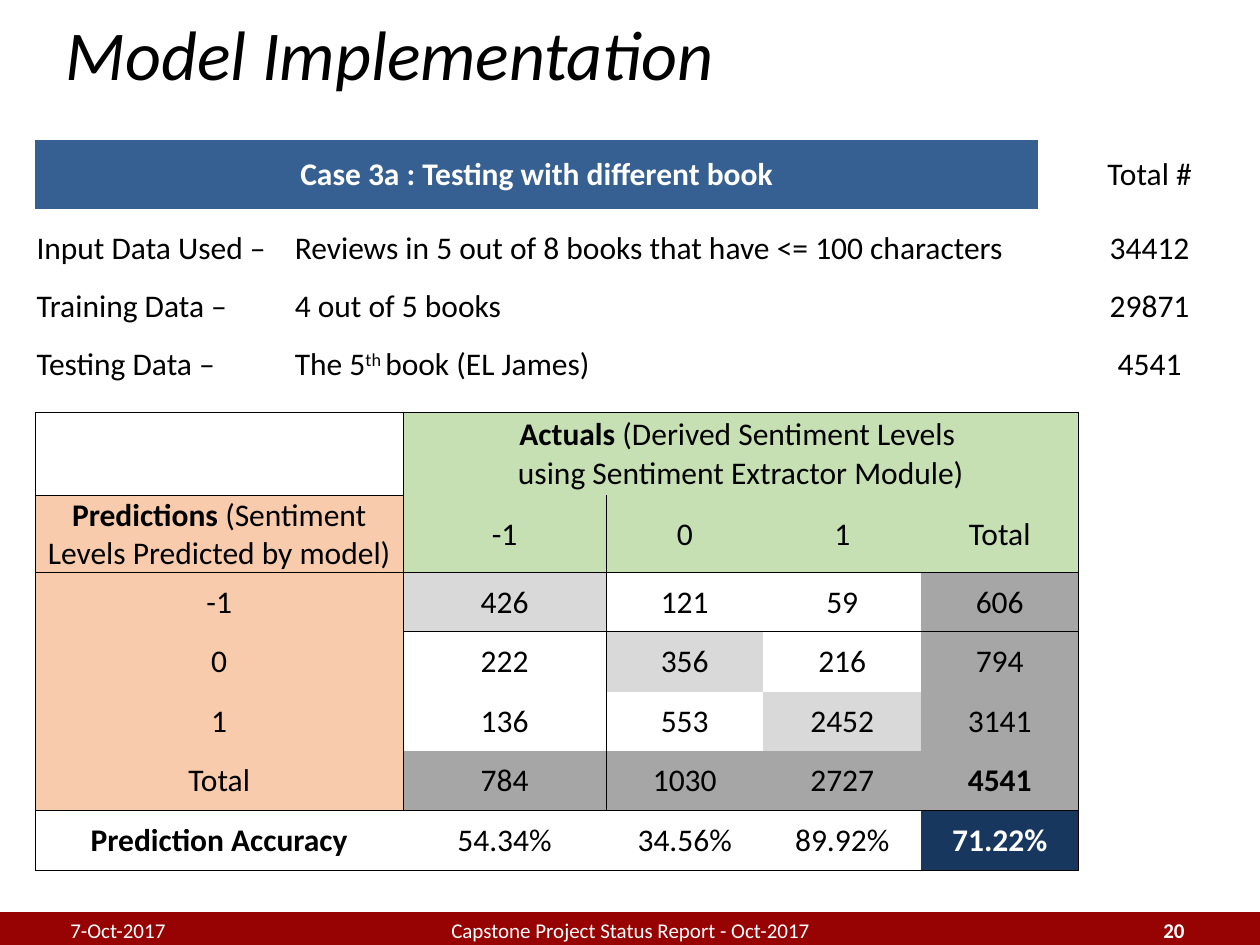
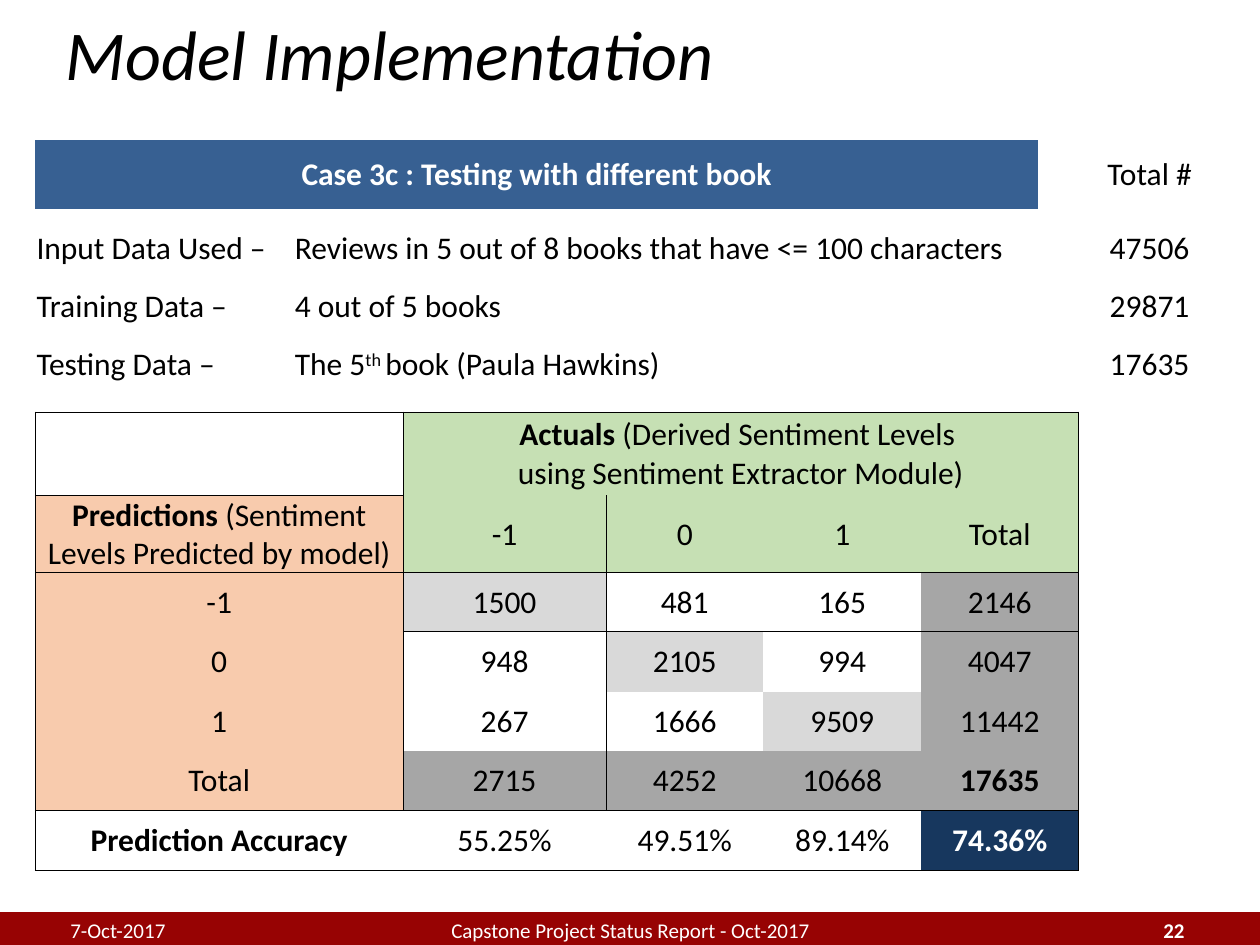
"""Build two model implementation slides with confusion matrices."""
from lxml.etree import SubElement
from pptx import Presentation
from pptx.dml.color import RGBColor
from pptx.enum.shapes import MSO_SHAPE
from pptx.enum.text import MSO_ANCHOR, MSO_AUTO_SIZE, PP_ALIGN
from pptx.oxml import parse_xml
from pptx.oxml.ns import nsdecls, qn
from pptx.util import Inches, Pt

BLACK = RGBColor(0x00, 0x00, 0x00)
WHITE = RGBColor(0xFF, 0xFF, 0xFF)
RED = RGBColor(0x97, 0x03, 0x03)
BLUE = RGBColor(0x37, 0x60, 0x92)
NAVY = RGBColor(0x17, 0x37, 0x5E)
GREEN = RGBColor(0xC6, 0xE0, 0xB4)
PEACH = RGBColor(0xF8, 0xCB, 0xAD)
PALE = RGBColor(0xD9, 0xD9, 0xD9)
GRAY = RGBColor(0xA6, 0xA6, 0xA6)

FONT = "Calibri"
UNIT = Inches(0.1)
COLS, ROWS = 100, 75
LEFT = 2.8
PLAIN_STYLE = "{2D5ABB26-0587-4C30-8999-92F81FD0307C}"
LEVELS = ["-1", "0", "1"]

CASES = [
    {
        "page": "20", "name": "3a", "author": "EL James",
        "totals": ["34412", "29871", "4541"],
        "counts": [
            ["426", "121", "59", "606"],
            ["222", "356", "216", "794"],
            ["136", "553", "2452", "3141"],
            ["784", "1030", "2727", "4541"],
        ],
        "rates": ["54.34%", "34.56%", "89.92%", "71.22%"],
    },
    {
        "page": "22", "name": "3c", "author": "Paula Hawkins",
        "totals": ["47506", "29871", "17635"],
        "counts": [
            ["1500", "481", "165", "2146"],
            ["948", "2105", "994", "4047"],
            ["267", "1666", "9509", "11442"],
            ["2715", "4252", "10668", "17635"],
        ],
        "rates": ["55.25%", "49.51%", "89.14%", "74.36%"],
    },
]


def grid(*spans):
    """Turn grid columns and rows into slide lengths."""
    return [round(span * UNIT) for span in spans]


def write(frame, text, size=18, color=BLACK, bold=False, italic=False,
          align=PP_ALIGN.LEFT, spacing=None):
    """Write a string, or (text, bold, baseline) parts, as one paragraph."""
    parts = [(text, bold, 0)] if isinstance(text, str) else text
    para = frame.paragraphs[0]
    para.alignment = align
    if spacing:
        para.line_spacing = spacing
    for words, heavy, base in parts:
        for index, line in enumerate(words.split("\n")):
            if index:
                para.add_line_break()
            run = para.add_run()
            run.text = line
            font = run.font
            font.name, font.size = FONT, Pt(size)
            font.bold, font.italic = heavy, italic
            font.color.rgb = color
            if base:
                run._r.get_or_add_rPr().set("baseline", str(base))


def fill_cell(cell, text="", fill=None, align=PP_ALIGN.CENTER, **style):
    """Fill a table cell and write its text."""
    cell.vertical_anchor = MSO_ANCHOR.MIDDLE
    cell.margin_left = cell.margin_right = cell.margin_top = Inches(0.01)
    cell.margin_bottom = 0
    if fill is None:
        cell.fill.background()
    else:
        cell.fill.solid()
        cell.fill.fore_color.rgb = fill
    if text:
        write(cell.text_frame, text, align=align, **style)


def add_grid(slide, top, widths, heights):
    """Add an unstyled table with the given column widths and row heights."""
    frame = slide.shapes.add_table(
        len(heights), len(widths),
        *grid(LEFT, top, sum(widths), sum(heights)))
    table = frame.table
    table.first_row = table.horz_banding = False
    table._tbl.tblPr.find(qn("a:tableStyleId")).text = PLAIN_STYLE
    for column, width in zip(table.columns, grid(*widths)):
        column.width = width
    for row, height in zip(table.rows, grid(*heights)):
        row.height = height
    return table


def outline(table, top, left, bottom, right):
    """Draw a thin line around a block of cells."""
    for row in range(top, bottom + 1):
        for col in range(left, right + 1):
            cell = table.cell(row, col)
            edges = {
                "L": col == left,
                "R": col + cell.span_width - 1 == right,
                "T": row == top,
                "B": row == bottom,
            }
            sides = [side for side, drawn in edges.items() if drawn]
            props = cell._tc.get_or_add_tcPr()
            for index, side in enumerate(sides):
                line = parse_xml(
                    f'<a:ln{side} {nsdecls("a")} w="{Pt(0.5)}"/>')
                paint = SubElement(line, qn("a:solidFill"))
                SubElement(paint, qn("a:srgbClr"), val=str(BLACK))
                props.insert(index, line)


def add_title(slide, text):
    """Place and format the slide title."""
    title = slide.shapes.title
    title.left, title.top, title.width, title.height = grid(4.2, 0, 92.5, 8.3)
    frame = title.text_frame
    frame.auto_size = MSO_AUTO_SIZE.NONE
    frame.vertical_anchor = MSO_ANCHOR.MIDDLE
    write(frame, text, size=40, italic=True)


def add_footer(slide, page):
    """Add the red band with date, report name and page number."""
    band = slide.shapes.add_shape(
        MSO_SHAPE.RECTANGLE, *grid(0, ROWS - 2.5, COLS, 2.5))
    band.shadow.inherit = False
    band.fill.solid()
    band.fill.fore_color.rgb = band.line.color.rgb = RED
    band.line.width = Pt(2)
    notes = [
        (31.7, 36.7, "Capstone Project Status Report - Oct-2017",
         PP_ALIGN.CENTER, False),
        (71.7, 23.3, page, PP_ALIGN.RIGHT, True),
        (4.6, 23.3, "7-Oct-2017", PP_ALIGN.LEFT, False),
    ]
    for left, width, text, align, bold in notes:
        frame = slide.shapes.add_textbox(
            *grid(left, 71.8, width, 4)).text_frame
        frame.word_wrap = True
        frame.vertical_anchor = MSO_ANCHOR.MIDDLE
        write(frame, text, size=12, color=WHITE, bold=bold, align=align)


def add_data(slide, case):
    """Add the table of input, training and testing data."""
    table = add_grid(slide, 11.1, [20.5, 59.1, 1.4, 12.9], [5.5] + [4.6] * 3)
    table.cell(0, 0).merge(table.cell(0, 1))
    fill_cell(table.cell(0, 0),
              f"Case {case['name']} : Testing with different book",
              BLUE, color=WHITE, bold=True)
    fill_cell(table.cell(0, 3), "Total #")
    tested = [("The 5", False, 0), ("th ", False, 30000),
              (f"book ({case['author']})", False, 0)]
    facts = [
        ("Input Data Used –",
         "Reviews in 5 out of 8 books that have <= 100 characters"),
        ("Training Data –", "4 out of 5 books"),
        ("Testing Data –", tested),
    ]
    for row, (fact, total) in enumerate(zip(facts, case["totals"]), 1):
        for col, text in enumerate(fact):
            fill_cell(table.cell(row, col), text, align=PP_ALIGN.LEFT,
                      spacing=1.5)
        fill_cell(table.cell(row, 3), total, spacing=1.5)


def add_matrix(slide, case):
    """Add the matrix of predicted against actual levels."""
    table = add_grid(slide, 32.7, [29.2, 16.1] + [12.5] * 3,
                     [6.6, 6.1, 4.7, 4.8, 4.7, 4.7, 4.8])
    table.cell(0, 1).merge(table.cell(0, 4))
    fill_cell(table.cell(0, 0))
    fill_cell(table.cell(0, 1), [
        ("Actuals ", True, 0),
        ("(Derived Sentiment Levels \nusing Sentiment Extractor Module)",
         False, 0)], GREEN)
    fill_cell(table.cell(1, 0), [
        ("Predictions ", True, 0),
        ("(Sentiment Levels Predicted by model)", False, 0)], PEACH)
    for index, level in enumerate(LEVELS + ["Total"]):
        fill_cell(table.cell(1, index + 1), level, GREEN)
        fill_cell(table.cell(index + 2, 0), level, PEACH)
    last = len(LEVELS)
    for row, counts in enumerate(case["counts"]):
        for col, count in enumerate(counts):
            sums = last in (row, col)
            fill = GRAY if sums else PALE if row == col else None
            fill_cell(table.cell(row + 2, col + 1), count, fill,
                      bold=row == col == last)
    fill_cell(table.cell(6, 0), "Prediction Accuracy", bold=True)
    for col, rate in enumerate(case["rates"]):
        style = {"fill": NAVY, "color": WHITE, "bold": True}
        fill_cell(table.cell(6, col + 1), rate,
                  **(style if col == last else {}))
    for block in [(0, 0, 0, 0), (0, 1, 1, 4), (1, 0, 5, 0),
                  (2, 1, 5, 4), (6, 0, 6, 4)]:
        outline(table, *block)


def main():
    """Build and save the slides."""
    deck = Presentation()
    deck.slide_width, deck.slide_height = grid(COLS, ROWS)
    for case in CASES:
        slide = deck.slides.add_slide(deck.slide_layouts[5])
        add_footer(slide, case["page"])
        add_title(slide, "Model Implementation")
        add_data(slide, case)
        add_matrix(slide, case)
    deck.save("out.pptx")


if __name__ == "__main__":
    main()
